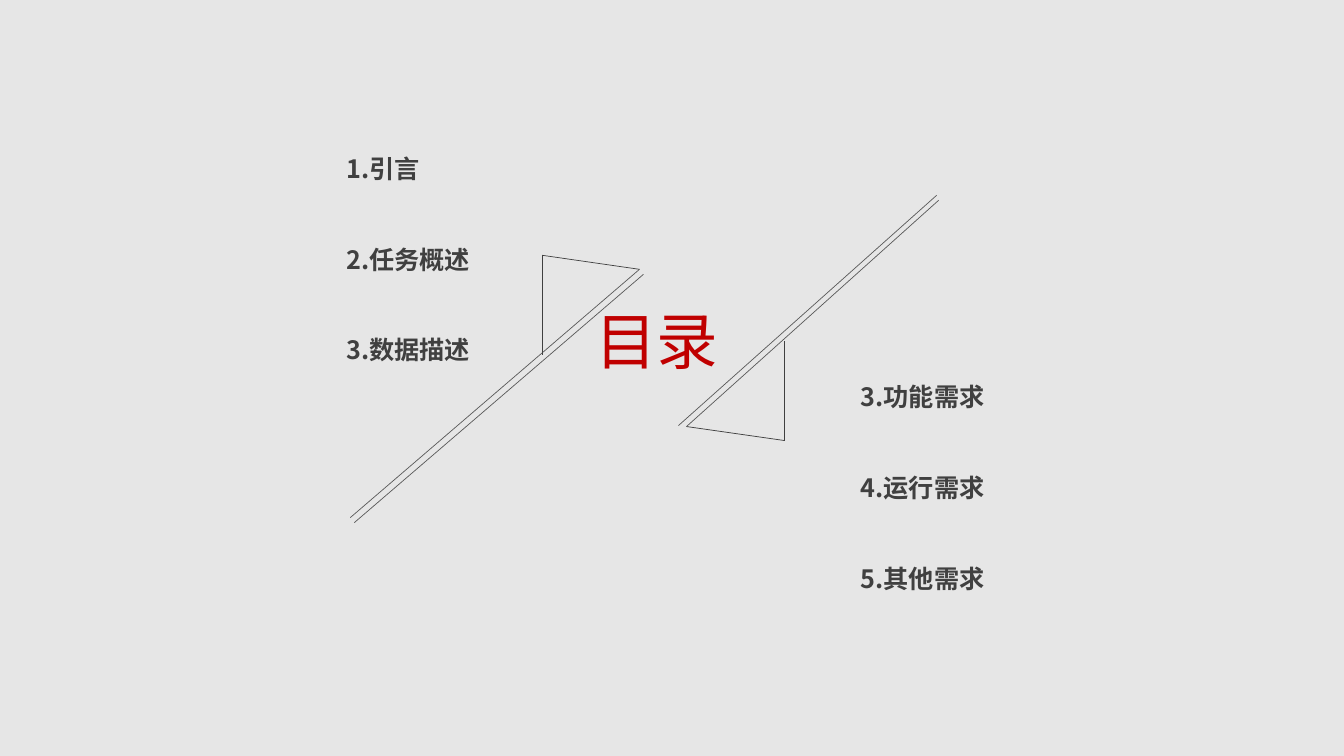
from lxml import etree
from pptx import Presentation
from pptx.dml.color import RGBColor
from pptx.enum.shapes import MSO_CONNECTOR
from pptx.oxml.ns import qn
from pptx.util import Pt

STRAIGHT = MSO_CONNECTOR.STRAIGHT
PX = 9080  # EMU per pixel
FONT = "Noto Sans CJK SC"
COLORS = {"background": "E6E6E6", "title": "C00000", "text": "404040", "diagonal": "595959"}
LINE_HEIGHT = 32.4

SLIDE_SIZE = (1343, 755)
TITLE = ("目录", (585, 298, 149, 85))
CHAPTER_LISTS = [
    (["1.引言", "2.任务概述", "3.数据描述"], (336, 133, 171, 237)),
    (["3.功能需求", "4.运行需求", "5.其他需求"], (850, 361, 171, 237)),
]
# Each path is a chain of points joined by straight lines.
LINE_PATHS = [
    ("diagonal", [(686, 426), (938, 200)]),
    ("diagonal", [(350, 517), (639, 269)]),
    ("text", [(639, 269), (542, 255), (542, 355)]),
    ("text", [(686, 426), (784, 440), (784, 341)]),
    ("diagonal", [(354, 522), (643, 274)]),
    ("diagonal", [(678, 425), (936, 195)]),
]


def color(name):
    return RGBColor.from_string(COLORS[name])


def emu(lengths):
    return [length * PX for length in lengths]


def add_text(slide, lines, box, size, color_name, bold=False, spaced=False):
    """Add a text box; spaced leaves one line height free after each line."""
    frame = slide.shapes.add_textbox(*emu(box)).text_frame
    frame.word_wrap = True
    for index, line in enumerate(lines):
        paragraph = frame.add_paragraph() if index else frame.paragraphs[0]
        if spaced:
            paragraph.line_spacing = paragraph.space_after = Pt(LINE_HEIGHT)
        run = paragraph.add_run()
        run.text = line
        run.font.size = Pt(size)
        run.font.bold = bold
        run.font.color.rgb = color(color_name)
        run.font.name = FONT
        etree.SubElement(run.font._element, qn("a:ea"), typeface=FONT)


def add_path(slide, color_name, points):
    for start, end in zip(points, points[1:]):
        line = slide.shapes.add_connector(STRAIGHT, *emu(start + end))
        line.line.color.rgb = color(color_name)
        line.line.width = Pt(0.5)
        etree.SubElement(line._element.spPr, qn("a:effectLst"))


def main():
    presentation = Presentation()
    presentation.slide_width, presentation.slide_height = emu(SLIDE_SIZE)
    slide = presentation.slides.add_slide(presentation.slide_layouts[6])
    slide.background.fill.solid()
    slide.background.fill.fore_color.rgb = color("background")

    title, title_box = TITLE
    add_text(slide, [title], title_box, 44, "title")
    for color_name, points in LINE_PATHS:
        add_path(slide, color_name, points)
    for chapters, box in CHAPTER_LISTS:
        add_text(slide, chapters, box, 18, "text", bold=True, spaced=True)
    presentation.save("out.pptx")


if __name__ == "__main__":
    main()
